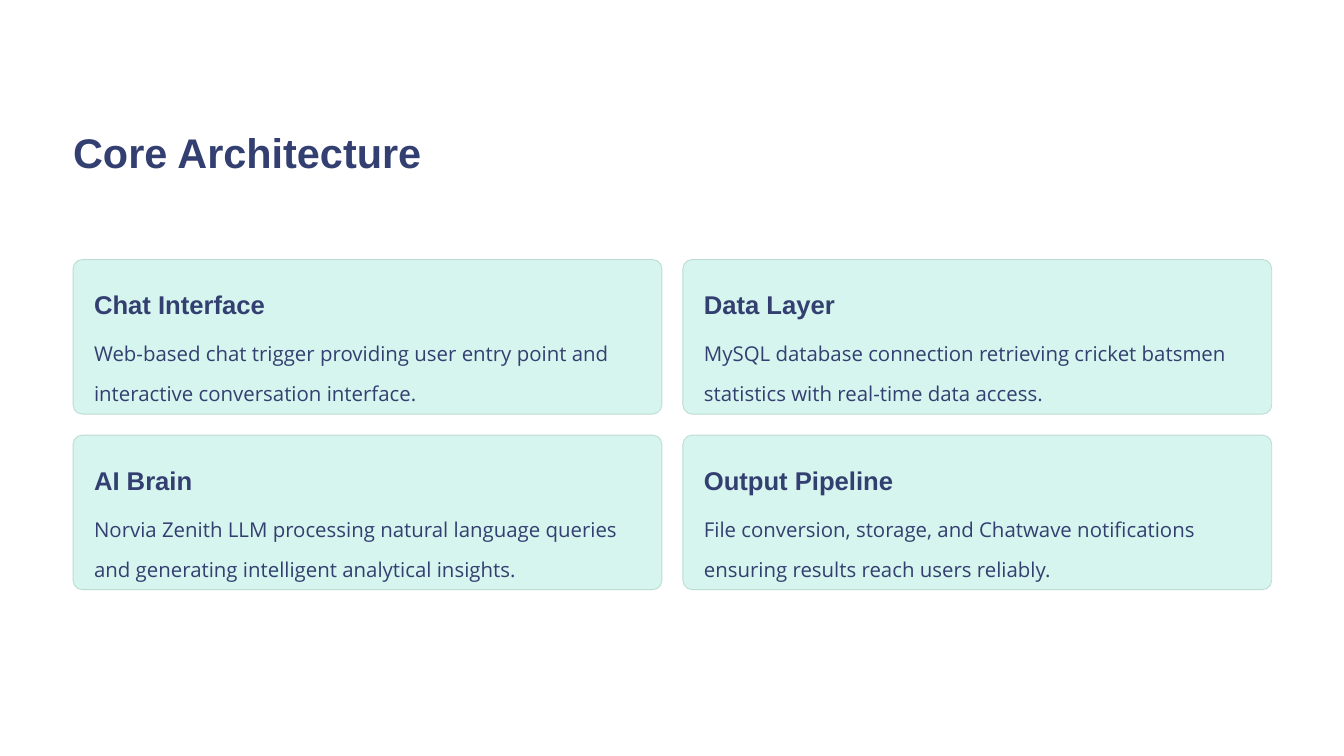
from pptx import Presentation
from pptx.dml.color import RGBColor
from pptx.enum.shapes import MSO_SHAPE
from pptx.util import Inches, Pt

NAVY = RGBColor(0x33, 0x3F, 0x70)
MINT = RGBColor(0xD6, 0xF5, 0xEE)
MINT_EDGE = RGBColor(0xBC, 0xDB, 0xD4)
WHITE = RGBColor(0xFF, 0xFF, 0xFF)

deck = Presentation()
deck.slide_width = Inches(16)
deck.slide_height = Inches(9)
page = deck.slides.add_slide(deck.slide_layouts[6])
page.background.fill.solid()
page.background.fill.fore_color.rgb = WHITE


def add_text(left, top, width, height, text, font, size, spacing, bold=False):
    box = page.shapes.add_textbox(Inches(left), Inches(top), Inches(width), Inches(height))
    frame = box.text_frame
    frame.word_wrap = True
    frame.margin_left = frame.margin_right = frame.margin_top = frame.margin_bottom = 0
    para = frame.paragraphs[0]
    para.line_spacing = spacing
    span = para.add_run()
    span.text = text
    span.font.name = font
    span.font.size = Pt(size)
    span.font.bold = bold
    span.font.color.rgb = NAVY


# Title
add_text(0.87, 1.36, 5.59, 0.62, "Core Architecture", "Arial", 35.5, 1.25, bold=True)

# Two-by-two grid of cards
cards = [
    ("Chat Interface",
     "Web-based chat trigger providing user entry point and interactive conversation interface."),
    ("Data Layer",
     "MySQL database connection retrieving cricket batsmen statistics with real-time data access."),
    ("AI Brain",
     "Norvia Zenith LLM processing natural language queries and generating intelligent analytical insights."),
    ("Output Pipeline",
     "File conversion, storage, and Chatwave notifications ensuring results reach users reliably."),
]
card_width, card_height, gap = 7.01, 1.84, 0.25

for index, (heading, description) in enumerate(cards):
    row, column = divmod(index, 2)
    left = 0.87 + column * (card_width + gap)
    top = 3.09 + row * (card_height + gap)

    card = page.shapes.add_shape(MSO_SHAPE.ROUNDED_RECTANGLE, Inches(left), Inches(top),
                                 Inches(card_width), Inches(card_height))
    card.adjustments[0] = 0.06
    card.shadow.inherit = False
    card.fill.solid()
    card.fill.fore_color.rgb = MINT
    card.line.color.rgb = MINT_EDGE
    card.line.width = Pt(0.75)

    add_text(left + 0.25, top + 0.26, 3.1, 0.39, heading, "Arial", 22, 1.25, bold=True)
    add_text(left + 0.25, top + 0.79, 6.5, 0.79, description, "Open Sans", 17.5, 1.63)

deck.save("out.pptx")
